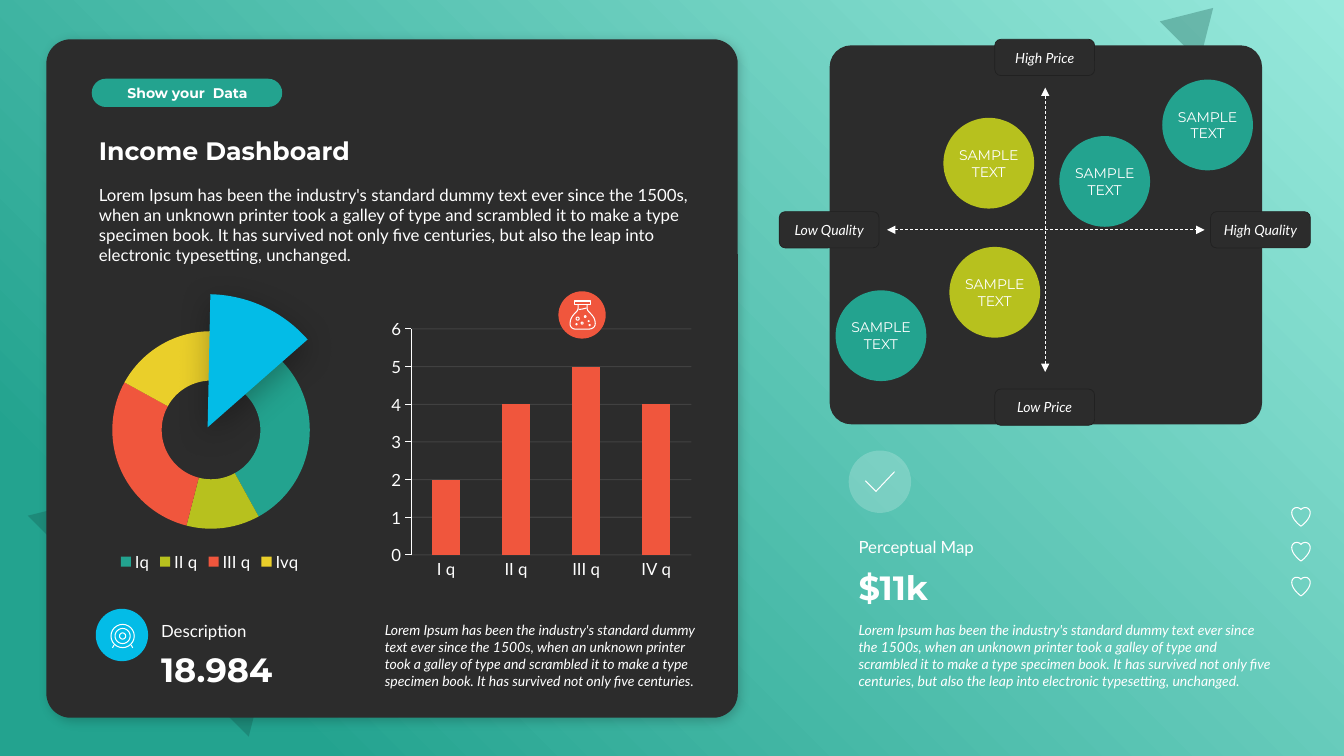
import dataclasses
import math
import typing

import pptx
import pptx.chart.data
import pptx.dml.color
import pptx.enum.chart
import pptx.enum.dml
import pptx.enum.shapes
import pptx.enum.text
import pptx.oxml
import pptx.oxml.ns
import pptx.util

Pt = pptx.util.Pt
SHAPE = pptx.enum.shapes.MSO_SHAPE
ALIGN = pptx.enum.text.PP_ALIGN
ANCHOR = pptx.enum.text.MSO_ANCHOR
CHART = pptx.enum.chart
Point = tuple[float, float]
Box = tuple[float, float, float, float]


@dataclasses.dataclass(frozen=True)
class Theme:
    dark: str = "2C2C2C"
    edge: str = "212121"
    white: str = "FFFFFF"
    black: str = "000000"
    teal: str = "23A38F"
    mint: str = "98E9DC"
    deep: str = "115248"
    lime: str = "B7C11E"
    red: str = "F0563D"
    yellow: str = "EACF2A"
    blue: str = "03BCE7"
    head: str = "Montserrat"
    text: str = "Lato"
    small: int = 10
    normal: int = 12
    title: int = 18
    figure: int = 24


T = Theme()


class Style(typing.NamedTuple):
    font: dict
    align: ALIGN = ALIGN.LEFT
    anchor: ANCHOR = ANCHOR.TOP
    after: float = 0


class Label(typing.NamedTuple):
    text: str
    box: Box
    style: Style


class Shape(typing.NamedTuple):
    kind: SHAPE
    box: Box
    color: str
    alpha: int = 100
    rotation: float = 0
    adjust: tuple[float, ...] = ()
    shadow: tuple[int, float, float, int] | None = None


class Stroke(typing.NamedTuple):
    points: list[Point]
    closed: bool = True


class Icon(typing.NamedTuple):
    x: float
    y: float
    strokes: list[Stroke]


BODY = Style({"name": T.text, "size": Pt(T.normal)}, after=6)
NOTE = Style({"name": T.text, "size": Pt(T.small), "italic": True}, after=6)
CAPTION = Style({"name": T.text, "size": Pt(T.normal)}, anchor=ANCHOR.BOTTOM)
FIGURE = Style({"name": T.head, "size": Pt(T.figure), "bold": True}, anchor=ANCHOR.BOTTOM)
TITLE = Style({"name": T.head, "size": Pt(T.title), "bold": True}, anchor=ANCHOR.BOTTOM)
BADGE = Style({"name": T.head, "size": Pt(T.small), "bold": True}, ALIGN.CENTER, ANCHOR.MIDDLE)
BUBBLE = Style({"name": T.head, "size": Pt(T.small)}, ALIGN.CENTER, ANCHOR.MIDDLE)
AXIS = Style({"name": T.text, "size": Pt(T.small), "italic": True}, ALIGN.CENTER, ANCHOR.MIDDLE)

SHORT = ("Lorem Ipsum has been the industry's standard dummy text ever since the 1500s, when an unknown "
         "printer took a galley of type and scrambled it to make a type specimen book. It has survived "
         "not only five centuries")
LONG = SHORT + ", but also the leap into electronic typesetting, unchanged."

PANEL = Shape(SHAPE.ROUNDED_RECTANGLE, (33.1, 28.1, 493.9, 484.6), T.dark, adjust=(0.036,), shadow=(20, 8, 3, 45))
TRIANGLES = [Shape(SHAPE.ISOSCELES_TRIANGLE, box, T.deep, 30, 45)
             for box in ((52.6, 289.4, 223.2, 185), (834.5, 0.7, 40.3, 33.8))]
SHAPES = [
    Shape(SHAPE.ROUNDED_RECTANGLE, (65.5, 56.2, 136.1, 20.2), T.teal, adjust=(0.5,)),
    Shape(SHAPE.OVAL, (68.4, 434.9, 37.4, 37.4), T.blue),
    Shape(SHAPE.OVAL, (398.9, 208.1, 33.8, 33.8), T.red),
    Shape(SHAPE.ROUNDED_RECTANGLE, (592.6, 32.4, 308.9, 270.7), T.dark, adjust=(0.057,)),
    Shape(SHAPE.OVAL, (606.2, 321.8, 44.6, 44.6), T.white, 20),
]
WEDGE = Shape(SHAPE.ARC, (53.3, 210.2, 190.1, 190.1), T.blue, adjust=(162.715, 191.224), shadow=(30, 23, 6, 90))
LABELS = [
    Label("Show your  Data", (71.3, 56.9, 125.3, 19.4), BADGE),
    Label("18.984", (108, 460.1, 133.9, 36), FIGURE),
    Label("Description", (108, 439.9, 133.9, 21.6), CAPTION),
    Label(SHORT + ".", (267.8, 440.6, 239, 55.4), NOTE),
    Label("$11k", (606.2, 401, 312.5, 36), FIGURE),
    Label("Perceptual Map", (606.2, 379.4, 312.5, 21.6), CAPTION),
    Label(LONG, (606.2, 440.6, 312.5, 55.4), NOTE),
]
ARROWS = [((633.6, 164.2), (860.4, 164.2)), ((746.6, 265.7), (746.6, 62.6))]
AXIS_ENDS = [("High Price", 710.6, 28.1), ("Low Price", 710.6, 277.9),
             ("Low Quality", 556.6, 151.2), ("High Quality", 864.7, 151.2)]
BUBBLES = [(673.9, 84.2, T.lime), (678.2, 176.4, T.lime), (596.9, 207.4, T.teal),
           (756.7, 97.2, T.teal), (830.2, 56.9, T.teal)]


def circle(x: float, y: float, r: float) -> Stroke:
    return Stroke([(x + r * math.cos(math.tau * i / 24), y + r * math.sin(math.tau * i / 24)) for i in range(24)])


def curve(*knots: Point) -> list[Point]:
    points = [knots[0]]
    for i in range(0, len(knots) - 1, 3):
        for t in (step / 8 for step in range(1, 9)):
            weights = ((1 - t) ** 3, 3 * t * (1 - t) ** 2, 3 * t * t * (1 - t), t ** 3)
            points.append(tuple(sum(w * k[axis] for w, k in zip(weights, knots[i:i + 4])) for axis in (0, 1)))
    return points


TARGET = [circle(8.4, 8.6, r) for r in (2.2, 5.4, 8.3)] + [
    Stroke([(2.3, 15), (1.2, 17)], False), Stroke([(14.5, 15), (15.6, 17)], False)]
FLASK = [
    Stroke([(3.9, 0.4), (14.8, 0.4), (14.8, 2.6), (3.9, 2.6)]),
    Stroke([(6.1, 2.9), *curve((6.1, 5.8), (6.1, 8.6), (0.4, 10.1), (0.4, 16.6), (0.4, 20.5), (4.3, 20.5), (4.3, 20.5)),
            *curve((13.7, 20.5), (13.7, 20.5), (18.4, 20.5), (18.4, 16.6), (18.4, 10.1), (12.6, 8.6), (12.6, 5.8)),
            (12.6, 2.9)], False),
    Stroke([(6.5, 6.5), (9.4, 6.1), (12.2, 5.4)], False),
    *(circle(*bubble) for bubble in ((5.8, 13, 1.1), (5, 17, 0.4), (14.4, 17.6, 0.4),
                                     (13.7, 14.8, 0.3), (11.2, 11.5, 0.6), (9, 16.2, 0.7)))]
HEART = [Stroke(curve((7, 1.8), (6.3, 0.9), (5, 0.4), (3.9, 0.4), (1.9, 0.4), (0.4, 2), (0.4, 4.1),
                      (0.4, 8.3), (5.7, 13), (7, 13.6), (8.3, 13), (13.6, 8.3), (13.6, 4.1),
                      (13.6, 2), (12.1, 0.4), (10.1, 0.4), (9, 0.4), (7.7, 0.9), (7, 1.8)))]
CHECK = [Stroke([(0.4, 7.2), (7.9, 14.8), (21.2, 0.7)], False)]
ICONS = [Icon(79.2, 445.7, TARGET), Icon(406.8, 214.6, FLASK), Icon(617.8, 336.2, CHECK),
         *(Icon(922.3, 362.2 + 24.9 * i, HEART) for i in range(3))]


def rgb(color: str) -> pptx.dml.color.RGBColor:
    return pptx.dml.color.RGBColor.from_string(color)


def xml(tag: str, inner: str = "", prefix: str = "a"):
    name = tag.split()[0]
    return pptx.oxml.parse_xml(f"<{prefix}:{tag} {pptx.oxml.ns.nsdecls(prefix)}>{inner}</{prefix}:{name}>")


def assign(obj, values: dict) -> None:
    for name, value in values.items():
        setattr(obj, name, value)


def set_font(font, values: dict) -> None:
    assign(font, values)
    font.color.rgb = rgb(T.white)


def write(sp, text: str, style: Style, **frame) -> None:
    tf = sp.text_frame
    assign(tf, {"word_wrap": True, "vertical_anchor": style.anchor, **frame})
    p = tf.paragraphs[0]
    assign(p, {"alignment": style.align, "space_before": Pt(0), "space_after": Pt(style.after)})
    r = p.add_run()
    r.text = text
    set_font(r.font, style.font)


def place(sp, box: Box) -> None:
    assign(sp, dict(zip(("left", "top", "width", "height"), map(Pt, box))))


def draw_shape(s, item: Shape):
    sp = s.shapes.add_shape(item.kind, *map(Pt, item.box))
    sp.rotation = item.rotation
    for i, value in enumerate(item.adjust):
        sp.adjustments[i] = value
    sp.fill.solid()
    sp.fill.fore_color.rgb = rgb(item.color)
    if item.alpha < 100:
        sp.element.xpath(".//p:spPr//a:srgbClr")[0].append(xml(f'alpha val="{item.alpha * 1000}"'))
    sp.line.fill.background()
    sp.shadow.inherit = False
    if item.shadow:
        alpha, blur, dist, angle = item.shadow
        sp.element.xpath(".//a:effectLst")[0].append(xml(
            f'outerShdw blurRad="{Pt(blur)}" dist="{Pt(dist)}" dir="{angle * 60000}" algn="t" rotWithShape="0"',
            f'<a:srgbClr val="{T.black}"><a:alpha val="{alpha * 1000}"/></a:srgbClr>'))
    return sp


def draw_backdrop(s) -> None:
    sp = draw_shape(s, Shape(SHAPE.RECTANGLE, (0, 0, 960, 540), T.teal))
    solid = sp.element.xpath("./p:spPr/a:solidFill")[0]
    stops = "".join(f'<a:gs pos="{pos}"><a:srgbClr val="{color}"/></a:gs>'
                    for pos, color in ((0, T.mint), (85000, T.teal)))
    solid.getparent().replace(solid, xml('gradFill rotWithShape="1"', (
        f'<a:gsLst>{stops}</a:gsLst><a:path path="circle"><a:fillToRect l="100000" b="100000"/></a:path>')))


def draw_label(s, item: Label) -> None:
    sp = s.shapes.add_textbox(*map(Pt, item.box))
    write(sp, item.text, item.style, auto_size=pptx.enum.text.MSO_AUTO_SIZE.SHAPE_TO_FIT_TEXT)


def draw_icon(s, icon: Icon) -> None:
    fb = None
    for stroke in icon.strokes:
        start, *rest = [(Pt(icon.x + x), Pt(icon.y + y)) for x, y in stroke.points]
        if fb is None:
            fb = s.shapes.build_freeform(*start)
        else:
            fb.move_to(*start)
        fb.add_line_segments(rest, close=stroke.closed)
    sp = fb.convert_to_shape()
    sp.fill.background()
    sp.line.color.rgb = rgb(T.white)
    sp.line.width = Pt(0.75)
    sp.shadow.inherit = False


def draw_arrow(s, start: Point, end: Point) -> None:
    line = s.shapes.add_connector(pptx.enum.shapes.MSO_CONNECTOR.STRAIGHT, *map(Pt, start + end))
    line.line.color.rgb = rgb(T.white)
    assign(line.line, {"width": Pt(0.5), "dash_style": pptx.enum.dml.MSO_LINE.DASH})
    ln = line.element.xpath(".//a:ln")[0]
    for end_tag in ("headEnd", "tailEnd"):
        ln.append(xml(f'{end_tag} type="triangle"'))
    ln.addnext(xml("effectLst"))


def add_chart(s, kind, box: Box, cats: list[str], vals: list[int], size: int, plot: Box):
    data = pptx.chart.data.CategoryChartData()
    data.categories = cats
    data.add_series("Series 1", vals)
    chart = s.shapes.add_chart(kind, *map(Pt, box), data).chart
    assign(chart, {"has_title": False, "has_legend": False})
    set_font(chart.font, {"name": T.text, "size": Pt(size)})
    area = chart.element.xpath(".//c:plotArea")[0]
    for old in area.xpath("./c:layout"):
        area.remove(old)
    inner = '<c:layoutTarget val="inner"/><c:xMode val="edge"/><c:yMode val="edge"/>'
    inner += "".join(f'<c:{tag} val="{value}"/>' for tag, value in zip("xywh", plot))
    area.insert(0, xml("layout", f"<c:manualLayout>{inner}</c:manualLayout>", "c"))
    return chart


def draw_doughnut(s) -> None:
    chart = add_chart(s, CHART.XL_CHART_TYPE.DOUGHNUT, (47.5, 225.4, 204.5, 185.8),
                      ["Iq", "II q", "III q", "Ivq"], [42, 12, 29, 17], T.small, (0.16, 0.06, 0.69, 0.76))
    chart.has_legend = True
    assign(chart.legend, {"position": CHART.XL_LEGEND_POSITION.BOTTOM, "include_in_layout": False})
    set_font(chart.legend.font, {"name": T.text, "size": Pt(T.normal)})
    for i, color in enumerate((T.teal, T.lime, T.red, T.yellow)):
        fmt = chart.plots[0].series[0].points[i].format
        fmt.fill.solid()
        fmt.fill.fore_color.rgb = rgb(color)
        fmt.line.fill.background()


def draw_columns(s) -> None:
    chart = add_chart(s, CHART.XL_CHART_TYPE.COLUMN_CLUSTERED, (275.8, 225.4, 222.5, 192.2),
                      ["I q", "II q", "III q", "IV q"], [2, 4, 5, 4], T.normal, (0.08, 0.05, 0.9, 0.84))
    assign(chart.plots[0], {"gap_width": 150, "vary_by_categories": False})
    fill = chart.plots[0].series[0].format.fill
    fill.solid()
    fill.fore_color.rgb = rgb(T.red)
    assign(chart.category_axis, {"major_tick_mark": CHART.XL_TICK_MARK.NONE})
    chart.category_axis.format.line.fill.background()
    axis = chart.value_axis
    assign(axis, {"minimum_scale": 0, "maximum_scale": 6, "major_unit": 1, "has_major_gridlines": True,
                  "major_tick_mark": CHART.XL_TICK_MARK.OUTSIDE})
    for line in (axis.format.line, axis.major_gridlines.format.line):
        line.color.rgb = rgb(T.white)
        line.width = Pt(0.75)
    chart.element.xpath(".//c:majorGridlines//a:srgbClr")[0].append(xml('alpha val="10000"'))


def draw_map(s) -> None:
    for start, end in ARROWS:
        draw_arrow(s, start, end)
    for text, x, y in AXIS_ENDS:
        sp = draw_shape(s, Shape(SHAPE.ROUNDED_RECTANGLE, (x, y, 71.3, 25.9), T.dark))
        sp.line.color.rgb = rgb(T.edge)
        sp.line.width = Pt(0.5)
        write(sp, text, AXIS)
    for x, y, color in BUBBLES:
        sp = draw_shape(s, Shape(SHAPE.OVAL, (x, y, 64.8, 64.8), color))
        write(sp, "SAMPLE TEXT", BUBBLE, margin_left=0, margin_right=0)


def draw_heading(panel, title, body) -> None:
    grow = pptx.enum.text.MSO_AUTO_SIZE.SHAPE_TO_FIT_TEXT
    for sp, text, style, box in ((body, LONG, BODY, (63.4, 128.2, 443.5, 65.5)),
                                 (title, "Income Dashboard", TITLE, (63.4, 92.9, 443.5, 28.8))):
        place(sp, box)
        write(sp, text, style, auto_size=grow)
        panel.element.addnext(sp.element)
    ppr = body.text_frame.paragraphs[0]._p.get_or_add_pPr()
    ppr.set("marL", "0")
    ppr.set("indent", "0")
    ppr.append(xml("buNone"))


def main() -> None:
    prs = pptx.Presentation()
    assign(prs, {"slide_width": Pt(960), "slide_height": Pt(540)})
    s = prs.slides.add_slide(prs.slide_layouts[1])
    draw_backdrop(s)
    for item in TRIANGLES:
        draw_shape(s, item)
    draw_heading(draw_shape(s, PANEL), s.shapes.title, s.placeholders[1])
    draw_doughnut(s)
    draw_shape(s, WEDGE)
    draw_columns(s)
    for item in SHAPES:
        draw_shape(s, item)
    for label in LABELS:
        draw_label(s, label)
    draw_map(s)
    for icon in ICONS:
        draw_icon(s, icon)
    prs.save("out.pptx")


if __name__ == "__main__":
    main()
